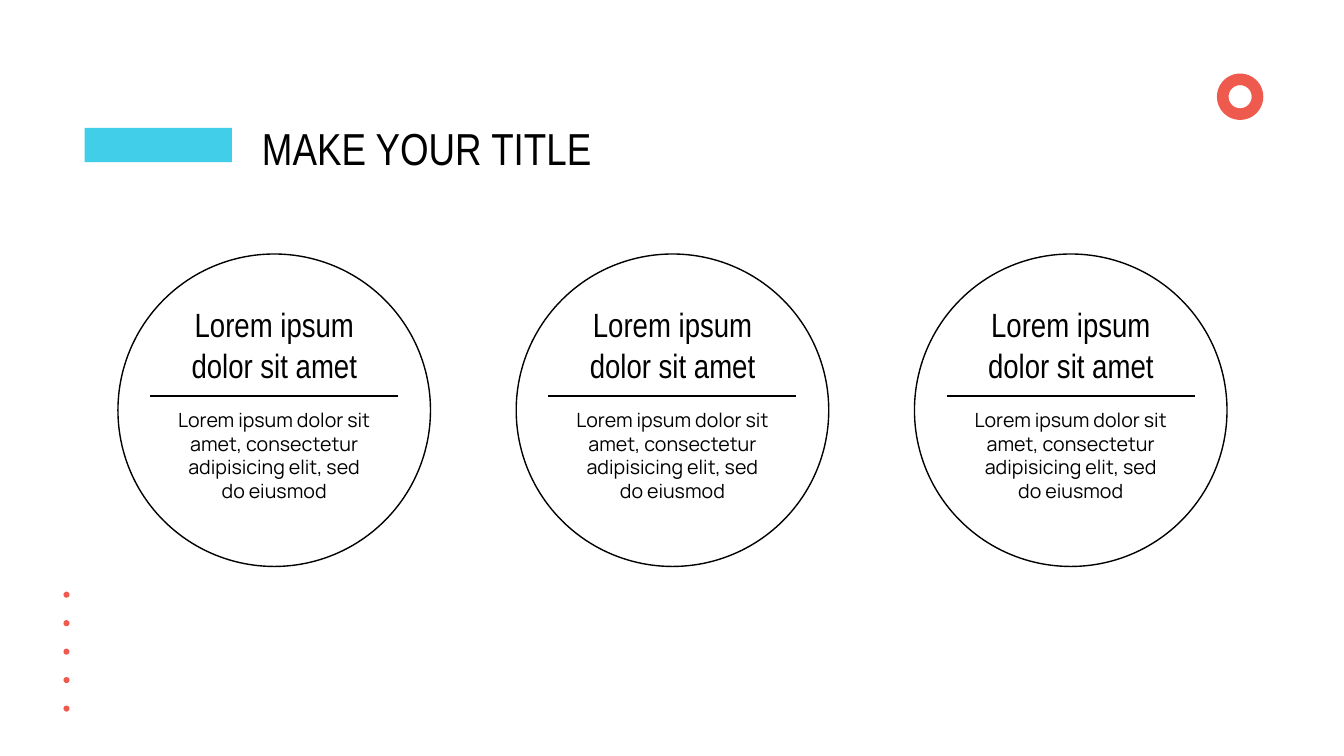
from lxml import etree
from pptx import Presentation
from pptx import util as u
from pptx.dml.color import RGBColor
from pptx.enum import shapes, text
from pptx.oxml.ns import qn

COLORS = {"ink": "000000", "accent": "40CEE9", "coral": "EE5A4E", "paper": "FFFFFF"}
HEADING_FONT, BODY_FONT = "Arial Narrow", "Manrope"

# Three equal columns, each holding one circle
COLUMN_LEFT, COLUMN_STEP, COLUMN_COUNT = 1.17, 3.95, 3
CIRCLE_TOP, CIRCLE_SIZE = 2.52, 3.1
TEXT_WIDTH, RULE_WIDTH = 2.15, 2.46

# Column of dots at the lower left
DOT_TOP, DOT_STEP, DOT_COUNT, DOT_SIZE = 5.87, 0.2825, 5, 0.06

HEADING = "Lorem ipsum dolor sit amet"
BODY = "Lorem ipsum dolor sit amet, consectetur adipisicing elit, sed do eiusmod"


def color(name):
    return RGBColor.from_string(COLORS[name])


def add_figure(slide, kind, left, top, width, height, fill=None, line=None):
    shape = slide.shapes.add_shape(
        kind, u.Inches(left), u.Inches(top), u.Inches(width), u.Inches(height))
    shape.shadow.inherit = False
    if fill:
        shape.fill.solid()
        shape.fill.fore_color.rgb = color(fill)
    else:
        shape.fill.background()
    if line:
        shape.line.color.rgb = color(line)
        shape.line.width = u.Pt(1)
    else:
        shape.line.fill.background()
    return shape


def add_label(slide, content, left, top, width, height, size, font,
              align=text.PP_ALIGN.LEFT):
    box = slide.shapes.add_textbox(
        u.Inches(left), u.Inches(top), u.Inches(width), u.Inches(height))
    frame = box.text_frame
    frame.word_wrap = True
    frame.auto_size = text.MSO_AUTO_SIZE.SHAPE_TO_FIT_TEXT
    frame.text = content
    paragraph = frame.paragraphs[0]
    paragraph.alignment = align
    run_font = paragraph.runs[0].font
    run_font.name = font
    run_font.size = u.Pt(size)
    run_font.color.rgb = color("ink")


def add_rule(slide, left, top, width):
    rule = slide.shapes.add_connector(
        shapes.MSO_CONNECTOR.STRAIGHT, u.Inches(left), u.Inches(top),
        u.Inches(left + width), u.Inches(top))
    rule.line.color.rgb = color("ink")
    rule.line.width = u.Pt(1)
    etree.SubElement(rule._element.spPr, qn("a:effectLst"))


def add_circle_card(slide, left):
    center = left + CIRCLE_SIZE / 2
    text_left = center - TEXT_WIDTH / 2
    add_figure(slide, shapes.MSO_SHAPE.OVAL, left, CIRCLE_TOP,
               CIRCLE_SIZE, CIRCLE_SIZE, line="ink")
    add_label(slide, HEADING, text_left, 2.97, TEXT_WIDTH, 0.91, 24,
              HEADING_FONT, text.PP_ALIGN.CENTER)
    add_label(slide, BODY, text_left, 4, TEXT_WIDTH, 1.28, 14,
              BODY_FONT, text.PP_ALIGN.CENTER)
    add_rule(slide, center - RULE_WIDTH / 2, 3.93, RULE_WIDTH)


def add_decoration(slide):
    add_figure(slide, shapes.MSO_SHAPE.RECTANGLE, 0.84, 1.27, 1.46, 0.34, "accent")
    for row in range(DOT_COUNT):
        add_figure(slide, shapes.MSO_SHAPE.OVAL, 0.63, DOT_TOP + row * DOT_STEP,
                   DOT_SIZE, DOT_SIZE, "coral")
    add_figure(slide, shapes.MSO_SHAPE.DONUT, 12.07, 0.73, 0.46, 0.46, "coral")


def main():
    presentation = Presentation()
    presentation.slide_width = u.Inches(13.33)
    presentation.slide_height = u.Inches(7.5)
    slide = presentation.slides.add_slide(presentation.slide_layouts[6])
    slide.background.fill.solid()
    slide.background.fill.fore_color.rgb = color("paper")

    add_decoration(slide)

    # Circles with heading, rule and body
    for column in range(COLUMN_COUNT):
        add_circle_card(slide, COLUMN_LEFT + column * COLUMN_STEP)

    # Title
    add_label(slide, "MAKE YOUR TITLE", 2.5, 1.15, 5.39, 0.64, 32, HEADING_FONT)

    presentation.save("out.pptx")


if __name__ == "__main__":
    main()
